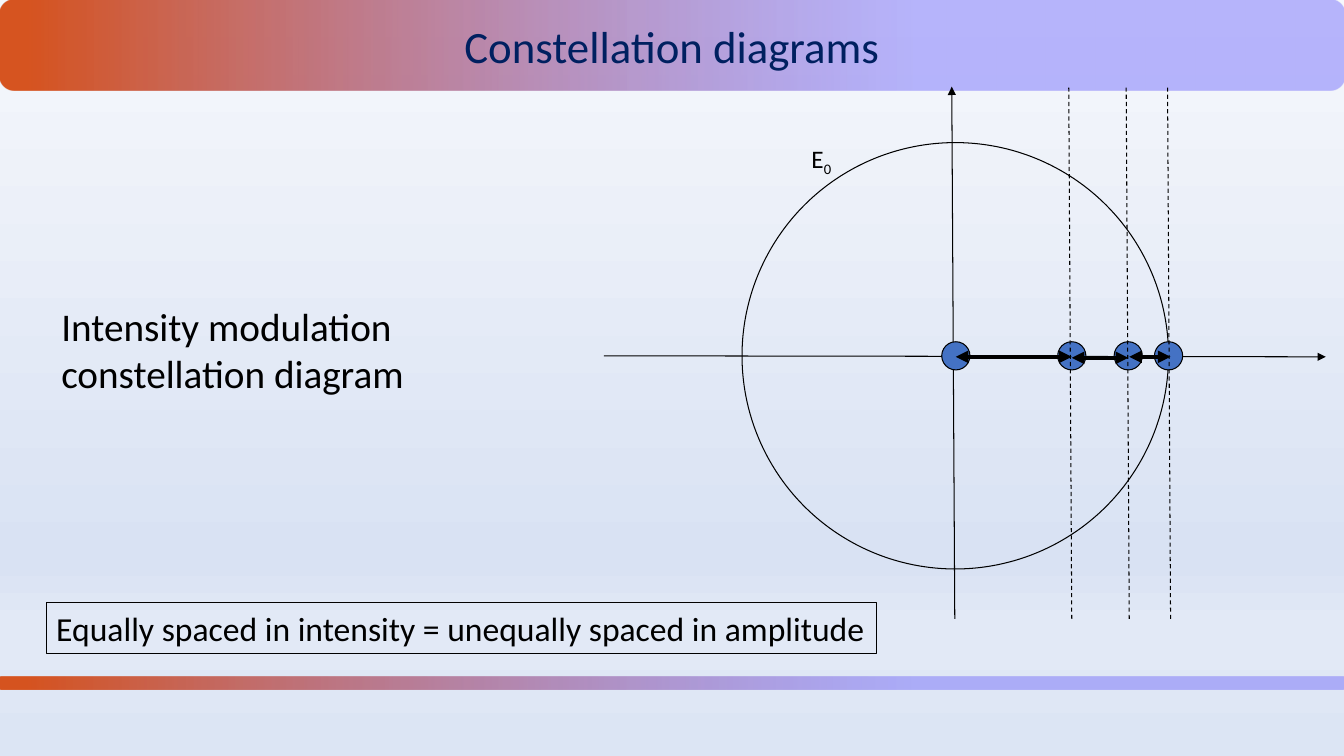
from lxml import etree
from pptx import Presentation
from pptx.dml.color import RGBColor
from pptx.enum.dml import MSO_LINE
from pptx.enum.shapes import MSO_CONNECTOR, MSO_SHAPE
from pptx.enum.text import PP_ALIGN
from pptx.oxml.ns import qn
from pptx.util import Inches, Pt

STRAIGHT = MSO_CONNECTOR.STRAIGHT
OVAL = MSO_SHAPE.OVAL
ROUNDED = MSO_SHAPE.ROUNDED_RECTANGLE
DASH = MSO_LINE.DASH
LEFT, CENTER = PP_ALIGN.LEFT, PP_ALIGN.CENTER

BLACK = RGBColor(0x00, 0x00, 0x00)
NAVY = RGBColor(0x00, 0x20, 0x60)
BLUE = RGBColor(0x44, 0x72, 0xC4)
ORANGE = RGBColor(0xD6, 0x54, 0x20)
VIOLET = RGBColor(0x7B, 0x75, 0xFB)
BACKGROUND_STOPS = [
    (0, RGBColor(0xF6, 0xF8, 0xFC), 100),
    (74, RGBColor(0xD9, 0xE2, 0xF3), 100),
    (83, RGBColor(0xE2, 0xE9, 0xF6), 100),
    (100, RGBColor(0xDC, 0xE5, 0xF4), 100),
]
BAR_STOPS = [(2, ORANGE, 100), (68, VIOLET, 51)]


def paint_gradient(fill, properties, stops, angle):
    fill.solid()
    solid = properties.find(qn("a:solidFill"))
    gradient = etree.Element(qn("a:gradFill"), rotWithShape="1")
    stop_list = etree.SubElement(gradient, qn("a:gsLst"))
    for position, color, opacity in stops:
        stop = etree.SubElement(stop_list, qn("a:gs"), pos=str(position * 1000))
        rgb = etree.SubElement(stop, qn("a:srgbClr"), val=str(color))
        if opacity < 100:
            etree.SubElement(rgb, qn("a:alpha"), val=str(opacity * 1000))
    etree.SubElement(gradient, qn("a:lin"), ang=str(angle * 60000), scaled="0")
    properties.replace(solid, gradient)


def add_line(start, end, width=0.75, arrowheads=(), dash=None):
    connector = slide.shapes.add_connector(
        STRAIGHT, *[Inches(value) for value in start + end])
    connector.line.color.rgb = BLACK
    connector.line.width = Pt(width)
    if dash is not None:
        connector.line.dash_style = dash
    outline = connector.line._get_or_add_ln()
    for arrowhead in arrowheads:
        etree.SubElement(outline, qn(arrowhead), type="triangle")
    etree.SubElement(connector._element.spPr, qn("a:effectLst"))


presentation = Presentation()
presentation.slide_width = Inches(13.33)
presentation.slide_height = Inches(7.5)
slide = presentation.slides.add_slide(presentation.slide_layouts[6])

background_fill = slide.background.fill
background_fill.solid()
background_properties = slide._element.cSld.find(qn("p:bg")).find(qn("p:bgPr"))
paint_gradient(background_fill, background_properties, BACKGROUND_STOPS, 90)

for top, height in [(0, 0.9), (6.71, 0.13)]:
    bar = slide.shapes.add_shape(
        ROUNDED, 0, Inches(top), presentation.slide_width, Inches(height))
    bar.shadow.inherit = False
    bar.line.fill.background()
    paint_gradient(bar.fill, bar._element.spPr, BAR_STOPS, 0)

add_line((5.99, 3.53), (13.15, 3.54), arrowheads=["a:tailEnd"])
add_line((9.47, 6.14), (9.44, 0.86), arrowheads=["a:tailEnd"])

ovals = [(9.475, 4.23, None)]
ovals += [(center, 0.28, BLUE) for center in (9.48, 10.63, 11.19, 11.59)]
for center, diameter, color in ovals:
    oval = slide.shapes.add_shape(
        OVAL, Inches(center - diameter / 2), Inches(3.53 - diameter / 2),
        Inches(diameter), Inches(diameter))
    oval.shadow.inherit = False
    oval.line.color.rgb = BLACK
    oval.line.width = Pt(0.75)
    if color is None:
        oval.fill.background()
    else:
        oval.fill.solid()
        oval.fill.fore_color.rgb = color

for left, right, y in [(9.48, 10.63, 3.54), (10.63, 11.19, 3.55), (11.2, 11.61, 3.54)]:
    add_line((left, y), (right, y), width=3, arrowheads=["a:headEnd", "a:tailEnd"])

for x in (10.63, 11.2, 11.61):
    add_line((x, 6.14), (x - 0.03, 0.86), dash=DASH)

texts = [
    (["Constellation diagrams"], 0, 0.2, 13.33, 0.46, 32, NAVY, CENTER, 0.9, False),
    (["Intensity modulation constellation diagram"],
     0.51, 2.95, 5.07, 1.04, 28, BLACK, LEFT, 1, False),
    (["E", "0"], 7.95, 1.37, 0.46, 0.4, 18, BLACK, LEFT, 1, False),
    (["Equally spaced in intensity = unequally spaced in amplitude"],
     0.46, 5.98, 8.23, 0.5, 24, BLACK, LEFT, 1, True),
]
for runs, left, top, width, height, size, color, alignment, spacing, framed in texts:
    box = slide.shapes.add_textbox(
        Inches(left), Inches(top), Inches(width), Inches(height))
    box.text_frame.word_wrap = len(runs) == 1
    paragraph = box.text_frame.paragraphs[0]
    paragraph.alignment = alignment
    paragraph.line_spacing = spacing
    paragraph.font.name = "Calibri"
    paragraph.font.size = Pt(size)
    paragraph.font.color.rgb = color
    for text in runs:
        paragraph.add_run().text = text
    for subscript in paragraph.runs[1:]:
        subscript.font._element.set("baseline", "-25000")
    if framed:
        box.line.color.rgb = BLACK
        box.line.width = Pt(0.75)

presentation.save("out.pptx")
